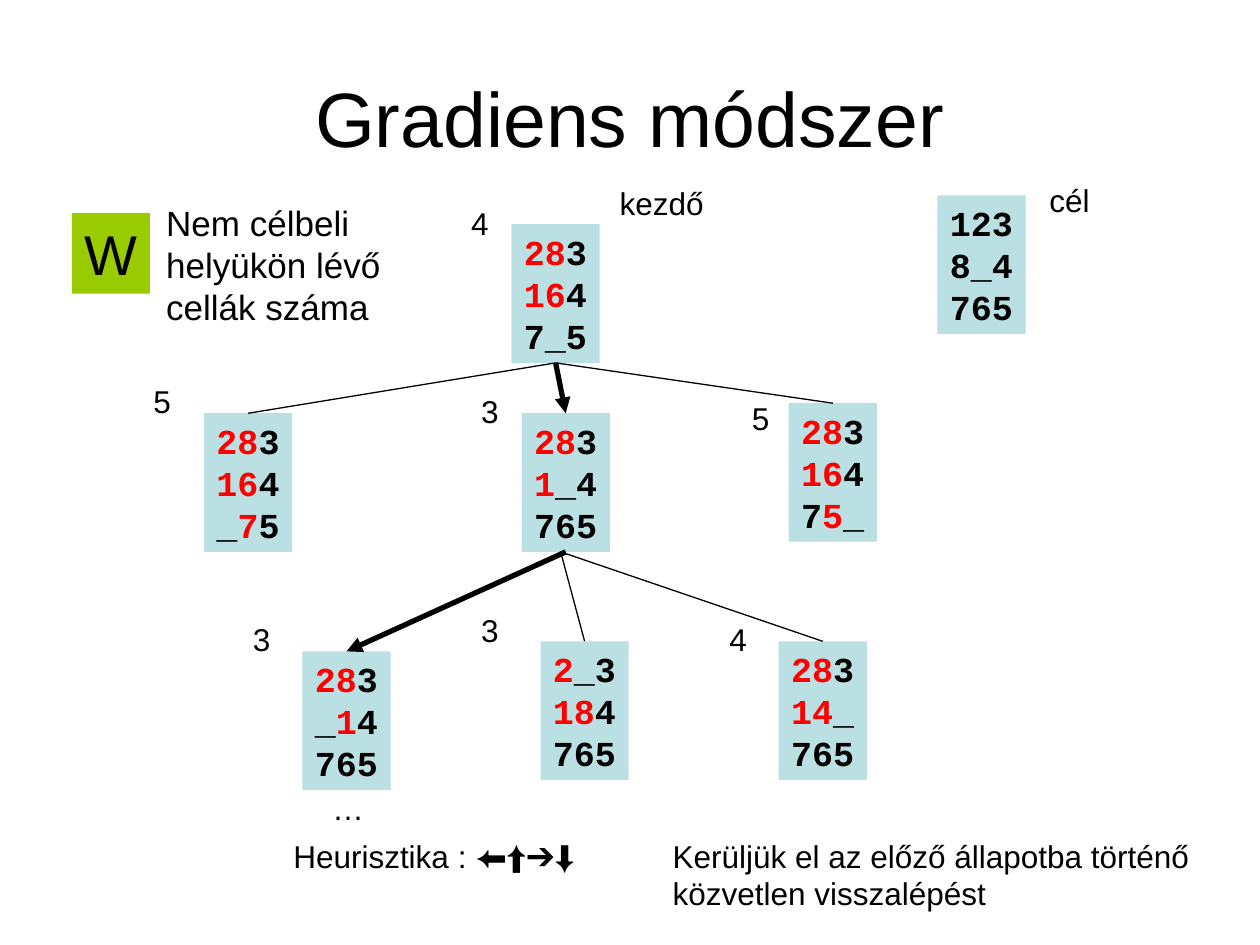
import itertools

import lxml.etree
import pptx
import pptx.dml.color
import pptx.enum.shapes
import pptx.enum.text
import pptx.oxml.ns
import pptx.util

Inches = pptx.util.Inches
GOAL = ["123", "8_4", "765"]


class Board:
    hues = {"text": "000000", "wrong": "FF0000", "tile": "BBE0E3", "mark": "99CC00"}
    sans = "Arial"
    mono = "Courier New"
    wide = 0.7
    high = 1.1

    def __init__(self, slide):
        self.slide = slide

    def hue(self, name):
        return pptx.dml.color.RGBColor.from_string(self.hues[name])

    def run(self, para, text, size, font, hue="text", bold=False):
        run = para.add_run()
        run.text = text
        run.font.size = pptx.util.Pt(size)
        run.font.name = font
        run.font.bold = bold
        run.font.color.rgb = self.hue(hue)

    def frame(self, shape, wrap):
        frame = shape.text_frame
        frame.word_wrap = wrap
        frame.auto_size = pptx.enum.text.MSO_AUTO_SIZE.SHAPE_TO_FIT_TEXT
        frame.vertical_anchor = pptx.enum.text.MSO_ANCHOR.TOP
        return frame

    def label(self, text, x, y, w, h=0.4, size=18, wrap=False):
        box = self.slide.shapes.add_textbox(Inches(x), Inches(y), Inches(w), Inches(h))
        frame = self.frame(box, wrap)
        self.run(frame.paragraphs[0], text, size, self.sans)
        return frame

    def title(self, text):
        frame = self.label(text, 0.5, 0.3, 9, 1.25, 44, True)
        frame.auto_size = pptx.enum.text.MSO_AUTO_SIZE.NONE
        frame.vertical_anchor = pptx.enum.text.MSO_ANCHOR.MIDDLE
        frame.paragraphs[0].alignment = pptx.enum.text.PP_ALIGN.CENTER

    def block(self, x, y, w, h, hue, wrap=False):
        kind = pptx.enum.shapes.MSO_SHAPE.RECTANGLE
        shape = self.slide.shapes.add_shape(kind, Inches(x), Inches(y), Inches(w), Inches(h))
        shape.shadow.inherit = False
        shape.fill.solid()
        shape.fill.fore_color.rgb = self.hue(hue)
        shape.line.fill.background()
        return self.frame(shape, wrap)

    def mark(self, text, x, y, w, h):
        para = self.block(x, y, w, h, "mark", True).paragraphs[0]
        para.alignment = pptx.enum.text.PP_ALIGN.LEFT
        self.run(para, text, 32, self.sans)

    def tile(self, rows, x, y):
        frame = self.block(x, y, self.wide, self.high, "tile")
        for i, (row, goal) in enumerate(zip(rows, GOAL)):
            para = frame.add_paragraph() if i else frame.paragraphs[0]
            para.alignment = pptx.enum.text.PP_ALIGN.LEFT
            pairs = zip(row, goal)
            for wrong, group in itertools.groupby(pairs, lambda p: p[0] not in ("_", p[1])):
                text = "".join(cell for cell, _ in group)
                self.run(para, text, 20, self.mono, "wrong" if wrong else "text", True)

    def link(self, start, end, best=False, shift=0):
        mid = self.wide / 2
        line = self.slide.shapes.add_connector(
            pptx.enum.shapes.MSO_CONNECTOR.STRAIGHT,
            Inches(start[0] + mid + shift), Inches(start[1] + self.high),
            Inches(end[0] + mid), Inches(end[1]))
        line.line.color.rgb = self.hue("text")
        line.line.width = pptx.util.Pt(3 if best else 0.75)
        qn = pptx.oxml.ns.qn
        if best:
            pen = line.line._get_or_add_ln()
            lxml.etree.SubElement(pen, qn("a:tailEnd"), type="triangle")
        lxml.etree.SubElement(line._element.spPr, qn("a:effectLst"))


def main():
    deck = pptx.Presentation()
    deck.slide_width = Inches(10)
    deck.slide_height = Inches(7.5)
    board = Board(deck.slides.add_slide(deck.slide_layouts[6]))

    board.title("Gradiens módszer")
    board.mark("W", 0.57, 1.69, 0.62, 0.64)
    board.label("Nem célbeli helyükön lévő cellák száma", 1.22, 1.55, 1.99, 1.1, 20, True)
    board.tile(GOAL, 7.44, 1.55)

    root, mid = (4.06, 1.78), (4.14, 3.28)
    left, right = (1.62, 3.28), (6.26, 3.2)
    leaves = [(2.4, 5.17), (4.29, 5.09), (6.18, 5.09)]
    nodes = [
        ("283 164 7_5", root, "4", (3.64, 1.57)),
        ("283 164 _75", left, "5", (1.12, 2.98)),
        ("283 1_4 765", mid, "3", (3.72, 3.06)),
        ("283 164 75_", right, "5", (5.87, 3.12)),
        ("283 _14 765", leaves[0], "3", (1.91, 4.87)),
        ("2_3 184 765", leaves[1], "3", (3.72, 4.8)),
        ("283 14_ 765", leaves[2], "4", (5.69, 4.87)),
    ]
    for rows, spot, cost, place in nodes:
        board.tile(rows.split(), *spot)
        board.label(cost, *place, 0.34)

    for end in (left, mid, right):
        board.link(root, end, end == mid)
    board.link(mid, leaves[0], True)
    for end in leaves[1:]:
        board.link(mid, end, shift=-0.04)

    board.label("kezdő", 4.82, 1.41, 0.9)
    board.label("cél", 8.23, 1.39, 0.54)
    board.label("…", 2.54, 6.21, 0.45)
    board.label("Heurisztika : ⬅⬆➔⬇", 2.23, 6.59, 2.64)
    board.label("Kerüljük el az előző állapotba történő közvetlen visszalépést",
                5.24, 6.59, 4.49, 0.7, wrap=True)
    deck.save("out.pptx")


if __name__ == "__main__":
    main()
